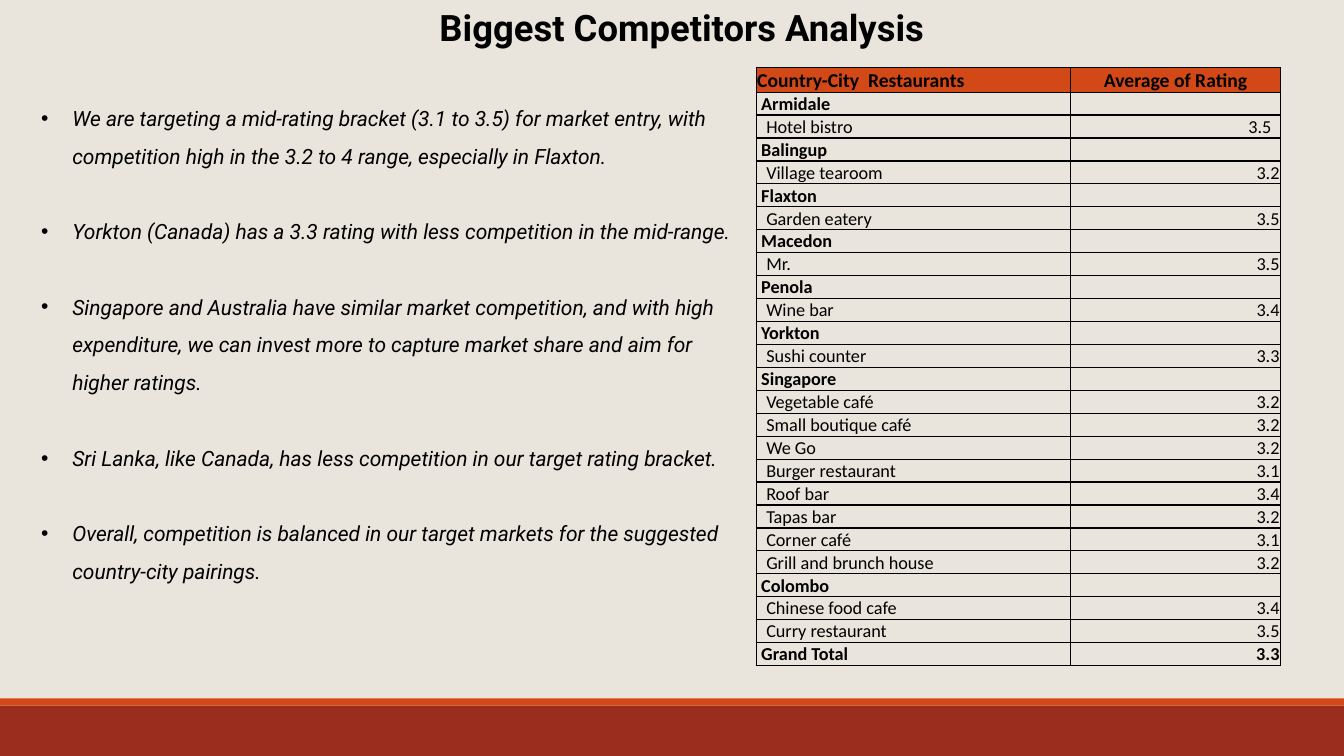
"""Build the competitor analysis slide."""
from lxml.etree import SubElement
from pptx import Presentation
from pptx.dml.color import RGBColor
from pptx.enum.shapes import MSO_SHAPE
from pptx.enum.text import MSO_ANCHOR, MSO_AUTO_SIZE, PP_ALIGN
from pptx.oxml.ns import qn
from pptx.util import Inches, Pt

BLACK, CREAM, ORANGE, RED = "000000", "E9E5DC", "D34817", "9B2D1F"
TITLE = "Biggest Competitors Analysis"
FINDINGS = [
    "We are targeting a mid-rating bracket (3.1 to 3.5) for market entry, with "
    "competition high in the 3.2 to 4 range, especially in Flaxton.",
    "Yorkton (Canada) has a 3.3 rating with less competition in the mid-range.",
    "Singapore and Australia have similar market competition, and with high "
    "expenditure, we can invest more to capture market share and aim for higher ratings.",
    "Sri Lanka, like Canada, has less competition in our target rating bracket.",
    "Overall, competition is balanced in our target markets for the suggested "
    "country-city pairings.",
]
HEADERS = ["Country-City  Restaurants", "Average of Rating"]
CITIES = {
    "Armidale": [("Hotel bistro", "3.5")],
    "Balingup": [("Village tearoom", "3.2")],
    "Flaxton": [("Garden eatery", "3.5")],
    "Macedon": [("Mr.", "3.5")],
    "Penola": [("Wine bar", "3.4")],
    "Yorkton": [("Sushi counter", "3.3")],
    "Singapore": [
        ("Vegetable café", "3.2"),
        ("Small boutique café", "3.2"),
        ("We Go", "3.2"),
        ("Burger restaurant", "3.1"),
        ("Roof bar", "3.4"),
        ("Tapas bar", "3.2"),
        ("Corner café", "3.1"),
        ("Grill and brunch house", "3.2"),
    ],
    "Colombo": [("Chinese food cafe", "3.4"), ("Curry restaurant", "3.5")],
}
GRAND_TOTAL = ("Grand Total", "3.3")
COL_WIDTHS = [3.12, 2.08]
TABLE_HEIGHT = 5.92


def rgb(value):
    return RGBColor.from_string(value)


def add_band(slide, top, height, color):
    sp = slide.shapes.add_shape(
        MSO_SHAPE.RECTANGLE, 0, Inches(top), Inches(13.33), Inches(height))
    sp.shadow.inherit = False
    sp.fill.solid()
    sp.fill.fore_color.rgb = rgb(color)
    sp.line.fill.background()


def add_box(slide, left, top, width, height):
    sp = slide.shapes.add_textbox(*map(Inches, (left, top, width, height)))
    tf = sp.text_frame
    tf.word_wrap = True
    tf.auto_size = MSO_AUTO_SIZE.SHAPE_TO_FIT_TEXT
    return tf


def add_run(p, text, size, font, bold=False, italic=False):
    r = p.add_run()
    r.text = text
    r.font.size, r.font.name = Pt(size), font
    r.font.bold, r.font.italic = bold, italic
    r.font.color.rgb = rgb(BLACK)


def add_bullet(p):
    pPr = p._p.get_or_add_pPr()
    indent = Inches(0.31)
    pPr.set("marL", str(indent))
    pPr.set("indent", str(-indent))
    SubElement(pPr, qn("a:buFont"), typeface="Arial")
    SubElement(pPr, qn("a:buChar"), char="•")


def add_borders(cell):
    tcPr = cell._tc.get_or_add_tcPr()
    for side in "LRTB":
        ln = SubElement(tcPr, qn(f"a:ln{side}"), w=str(Pt(1)))
        fill = SubElement(ln, qn("a:solidFill"))
        SubElement(fill, qn("a:srgbClr"), val=BLACK)


def fill_cell(cell, text, size, bold, align, fill, left=0.01, right=0.01):
    add_borders(cell)
    cell.fill.solid()
    cell.fill.fore_color.rgb = rgb(fill)
    cell.vertical_anchor = MSO_ANCHOR.BOTTOM
    cell.margin_left, cell.margin_right = Inches(left), Inches(right)
    cell.margin_top, cell.margin_bottom = Inches(0.01), 0
    p = cell.text_frame.paragraphs[0]
    p.alignment = align
    if text:
        add_run(p, text, size, "Calibri", bold)
    else:
        SubElement(p._p, qn("a:endParaRPr"), sz=str(size * 100))


def table_rows():
    rows = []
    for city, places in CITIES.items():
        rows.append((city, "", True))
        rows += [(name, rating, False) for name, rating in places]
    return rows + [(*GRAND_TOTAL, True)]


def add_ratings(slide):
    rows = table_rows()
    count = len(rows) + 1
    table = slide.shapes.add_table(
        count, 2, Inches(7.5), Inches(0.67),
        Inches(sum(COL_WIDTHS)), Inches(TABLE_HEIGHT)).table
    table.first_row = table.horz_banding = False
    for col, width in zip(table.columns, COL_WIDTHS):
        col.width = Inches(width)
    for row in table.rows:
        row.height = Inches(TABLE_HEIGHT / count)
    for i, align in enumerate([PP_ALIGN.LEFT, PP_ALIGN.CENTER]):
        fill_cell(table.cell(0, i), HEADERS[i], 14, True, align, ORANGE)
    for i, (name, rating, bold) in enumerate(rows, 1):
        fill_cell(table.cell(i, 0), name, 13, bold, PP_ALIGN.LEFT, CREAM,
                  left=0.05 if bold else 0.1)
        fill_cell(table.cell(i, 1), rating, 13, bold, PP_ALIGN.RIGHT, CREAM,
                  right=0.09 if i == 2 else 0.01)


def main():
    prs = Presentation()
    prs.slide_width, prs.slide_height = Inches(13.33), Inches(7.5)
    s = prs.slides.add_slide(prs.slide_layouts[6])
    s.background.fill.solid()
    s.background.fill.fore_color.rgb = rgb(CREAM)
    add_band(s, 7, 0.5, RED)
    add_band(s, 6.93, 0.07, ORANGE)

    p = add_box(s, 3.43, 0, 6.67, 0.54).paragraphs[0]
    p.alignment = PP_ALIGN.CENTER
    add_run(p, TITLE, 26, "Roboto", bold=True)

    tf = add_box(s, 0.31, 0.87, 7.04, 4.98)
    for i, finding in enumerate(FINDINGS):
        p = tf.add_paragraph() if i else tf.paragraphs[0]
        add_bullet(p)
        p.line_spacing = 1.5
        if i:
            p.space_before = Pt(27)
        add_run(p, finding, 15, "Roboto", italic=True)

    add_ratings(s)
    prs.save("out.pptx")


if __name__ == "__main__":
    main()
